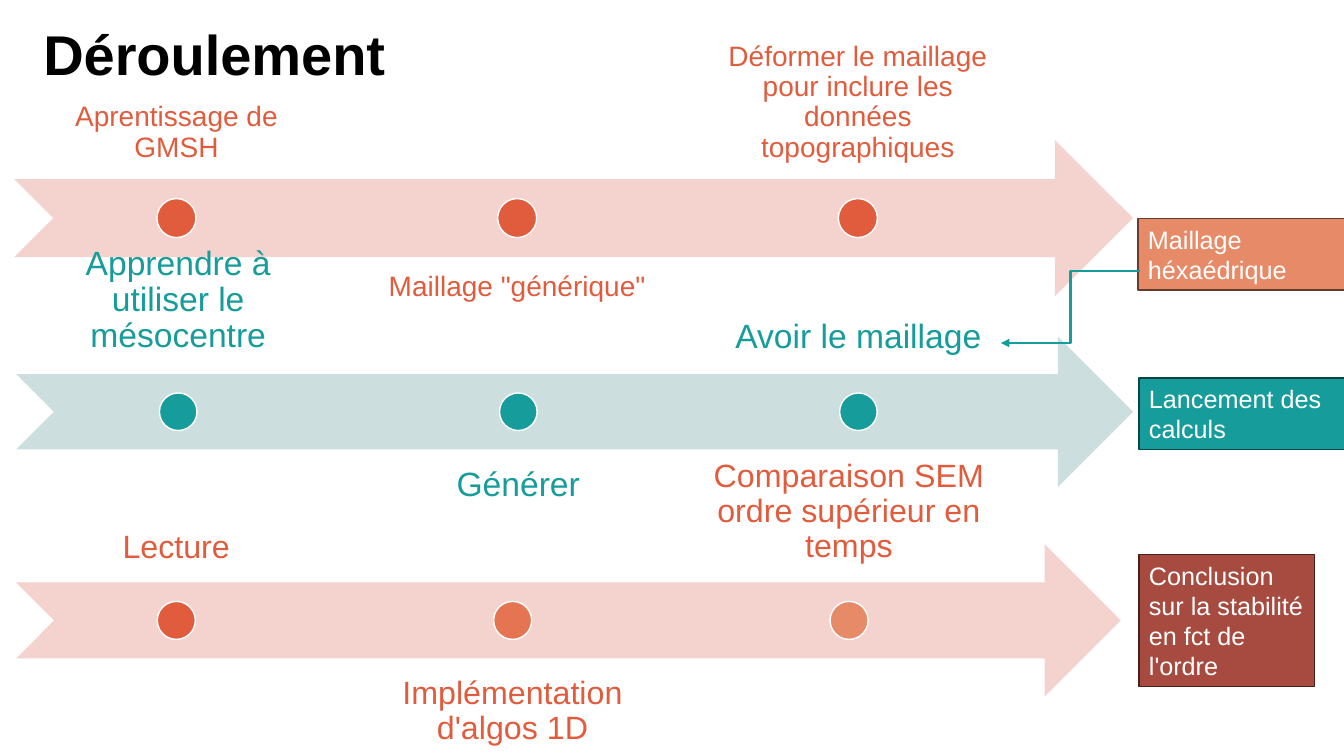
from pptx import Presentation
from pptx.dml.color import RGBColor
from pptx.enum import shapes as sh, text as tx
from pptx.oxml.ns import qn
from pptx.util import Pt
from lxml import etree

BLACK = RGBColor(0x00, 0x00, 0x00)
WHITE = RGBColor(0xFF, 0xFF, 0xFF)
PINK = RGBColor(0xF4, 0xD2, 0xCE)
MINT = RGBColor(0xCC, 0xDE, 0xDE)
RED = RGBColor(0xE1, 0x5C, 0x3D)
CORAL = RGBColor(0xE4, 0x74, 0x52)
PEACH = RGBColor(0xE7, 0x8A, 0x67)
TEAL = RGBColor(0x16, 0x9C, 0x9A)
BRICK = RGBColor(0xA7, 0x4B, 0x40)
BROWN = RGBColor(0x65, 0x3C, 0x2D)
PINE = RGBColor(0x0A, 0x44, 0x43)
WINE = RGBColor(0x49, 0x21, 0x1C)

TOP, MID, LOW = (tx.MSO_ANCHOR.TOP, tx.MSO_ANCHOR.MIDDLE,
                 tx.MSO_ANCHOR.BOTTOM)
LEFT, CENTER = tx.PP_ALIGN.LEFT, tx.PP_ALIGN.CENTER

# arrow area, arrow colour, label colour, label size, dot colours, labels
ROWS = [
    ((10.2, 100, 799.2, 111.6), PINK, RED, 20, [RED] * 3,
     ["Aprentissage de GMSH", 'Maillage "générique"',
      "Déformer le maillage pour inclure les données topographiques"]),
    ((11.6, 240.4, 797.8, 107.4), MINT, TEAL, 24, [TEAL] * 3,
     ["Apprendre à utiliser le mésocentre", "Générer", "Avoir le maillage"]),
    ((11.5, 388.8, 789.1, 108.7), PINK, RED, 23, [RED, CORAL, PEACH],
     ["Lecture", "Implémentation d'algos 1D",
      "Comparaison SEM ordre supérieur en temps"]),
]
# area, fill, outline, text of the result after each row
GOALS = [
    ((812.9, 156.2, 147.6, 51.1), PEACH, BROWN, "Maillage héxaédrique"),
    ((813.6, 270, 147.6, 51.1), TEAL, PINE, "Lancement des calculs"),
    ((813.6, 395.9, 125.3, 94.5), BRICK, WINE,
     "Conclusion sur la stabilité en fct de l'ordre"),
]


def assign(obj, vals):
    for name, val in vals.items():
        setattr(obj, name, val)


def write(shape, words, size, color, anchor=TOP, align=LEFT, pad=None,
          space=None, bold=False):
    frame = shape.text_frame
    assign(frame, {"word_wrap": True, "vertical_anchor": anchor})
    if pad is not None:
        sides = ("left", "top", "right", "bottom")
        assign(frame, {f"margin_{side}": Pt(pad) for side in sides})
    para = frame.paragraphs[0]
    assign(para, {"text": words, "alignment": align, "line_spacing": space})
    assign(para.font, {"name": "Arial", "size": Pt(size), "bold": bold})
    para.font.color.rgb = color


def label(slide, area, words, size, color, **style):
    box = slide.shapes.add_textbox(*map(Pt, area))
    write(box, words, size, color, space=0.9, **style)


def form(slide, kind, area, fill, edge=None):
    shape = slide.shapes.add_shape(kind, *map(Pt, area))
    shape.shadow.inherit = False
    shape.fill.solid()
    shape.fill.fore_color.rgb = fill
    if edge is None:
        shape.line.fill.background()
    else:
        shape.line.color.rgb = edge
        shape.line.width = Pt(1)
    return shape


def row(slide, area, band, color, size, dots, words):
    """Draw an arrow with dots, and labels in turn above and below it."""
    left, top, width, high = area
    form(slide, sh.MSO_SHAPE.NOTCHED_RIGHT_ARROW, area, band)
    wide, dot = 0.29 * width, high / 4
    for i, (fill, word) in enumerate(zip(dots, words)):
        x = left + i * 1.05 * wide
        above = i % 2 == 0
        y = top + (-0.75 if above else 0.75) * high
        label(slide, (x, y, wide, high), word, size, color,
              anchor=LOW if above else TOP, align=CENTER, pad=0.57 * size)
        form(slide, sh.MSO_SHAPE.OVAL,
             (x + (wide - dot) / 2, top + 1.5 * dot, dot, dot), fill, WHITE)


def goal(slide, area, fill, edge, words):
    box = form(slide, sh.MSO_SHAPE.RECTANGLE, area, fill, edge)
    write(box, words, 18, WHITE, anchor=MID)


def link(slide, start, end, color):
    line = slide.shapes.add_connector(
        sh.MSO_CONNECTOR.ELBOW, *map(Pt, start + end))
    line.line.color.rgb = color
    line.line.width = Pt(1.5)
    props = line.line._get_or_add_ln()
    etree.SubElement(props, qn("a:tailEnd"), type="triangle")
    etree.SubElement(line._element.spPr, qn("a:effectLst"))


def main():
    deck = Presentation()
    assign(deck, {"slide_width": Pt(960), "slide_height": Pt(540)})
    slide = deck.slides.add_slide(deck.slide_layouts[6])
    label(slide, (23.8, 15.8, 781.2, 101.5), "Déroulement", 40, BLACK,
          bold=True)
    for i, (lane, end) in enumerate(zip(ROWS, GOALS)):
        row(slide, *lane)
        goal(slide, *end)
        if i == 1:
            link(slide, (814.3, 193.5), (715, 245), TEAL)
    deck.save("out.pptx")


if __name__ == "__main__":
    main()
